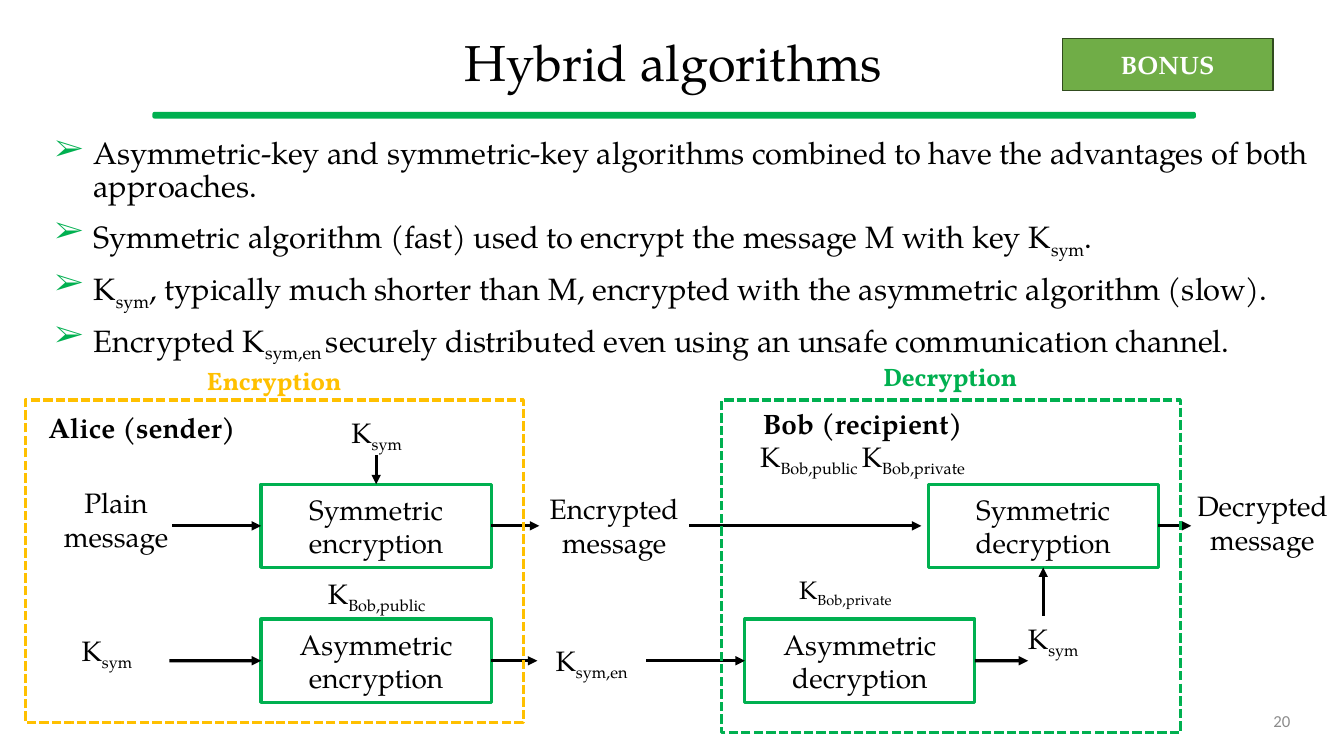
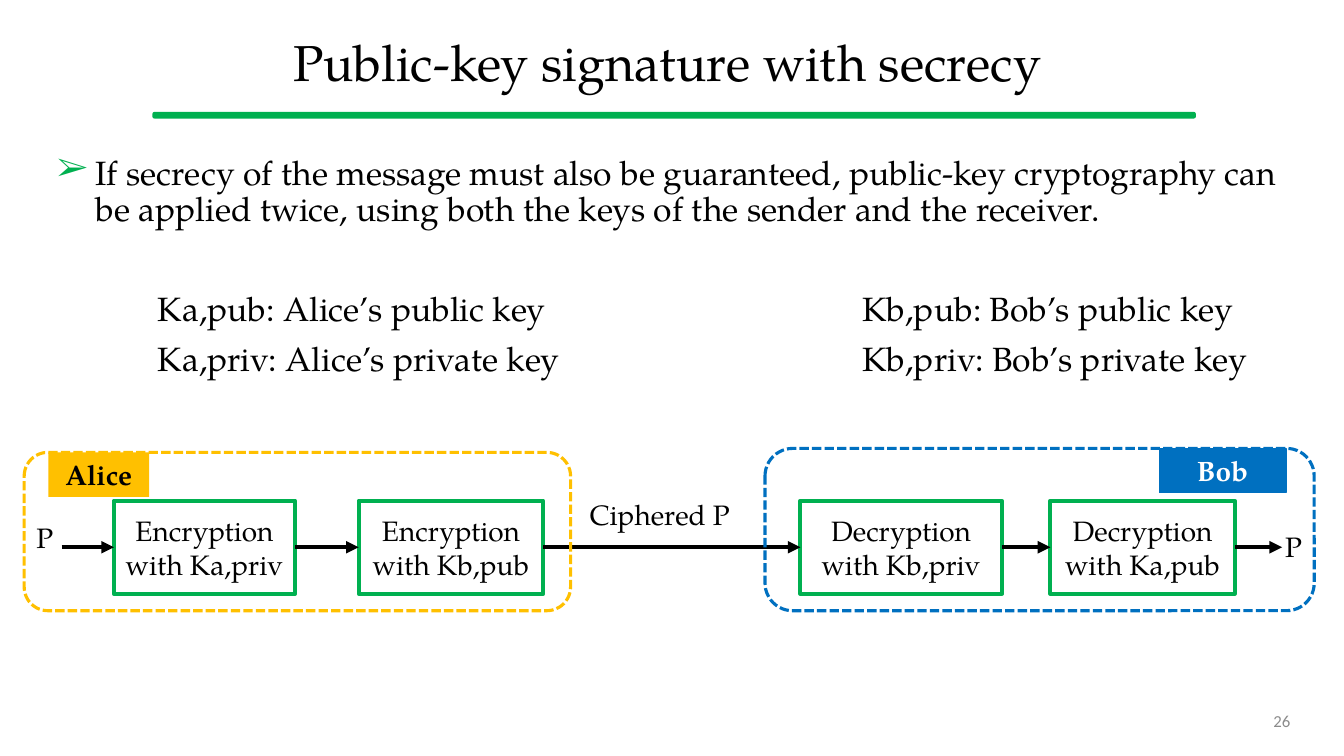
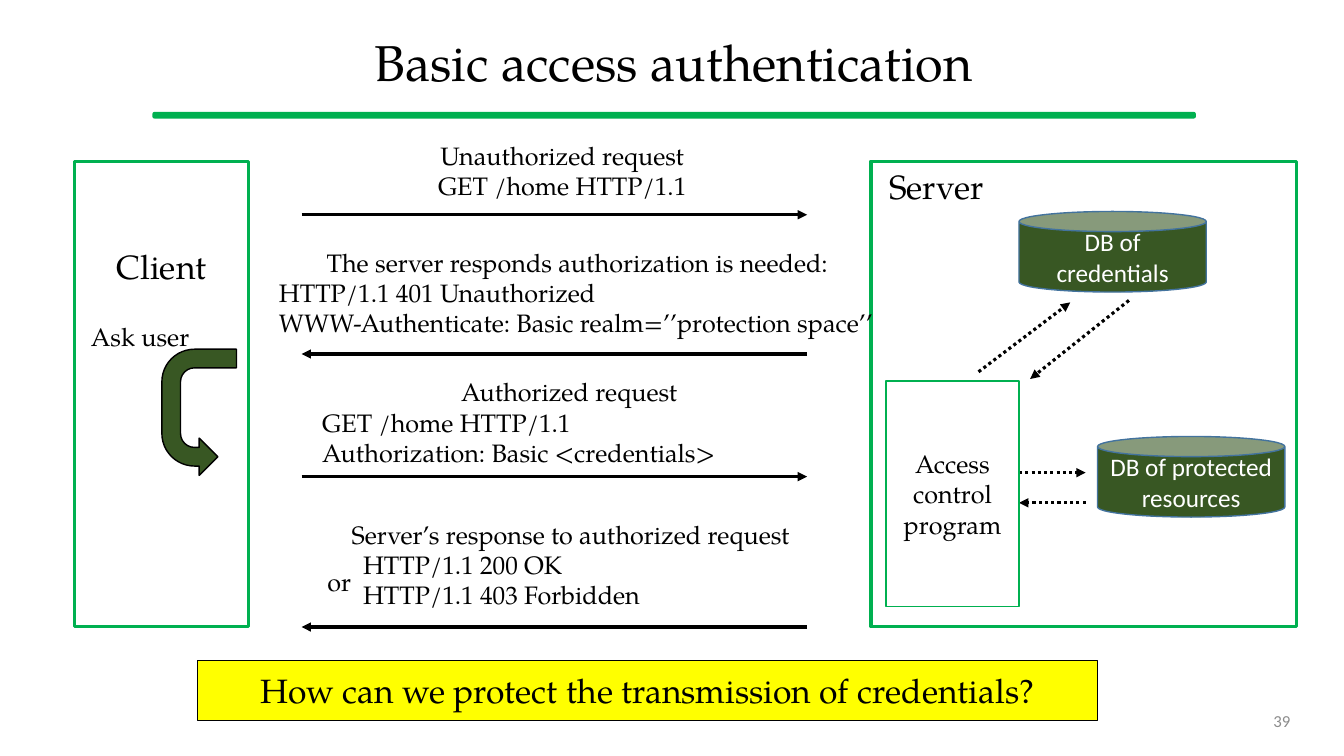
import lxml.etree
import pptx
import pptx.dml.color
import pptx.enum.dml
import pptx.enum.shapes
import pptx.enum.text
import pptx.oxml.ns
import pptx.util

Cm = pptx.util.Cm
Pt = pptx.util.Pt
qn = pptx.oxml.ns.qn
Form = pptx.enum.shapes.MSO_SHAPE
Dash = pptx.enum.dml.MSO_LINE
Align = pptx.enum.text.PP_ALIGN
Anchor = pptx.enum.text.MSO_ANCHOR
TOP, LEFT, BOTTOM, RIGHT = range(4)


class Theme:
    """Colours, fonts and type sizes of the deck."""

    black, white, grey = "000000", "FFFFFF", "8C8C8C"
    green, gold, blue = "00B050", "FFC000", "0070C0"
    forest, steel, yellow = "385723", "43739E", "FFFF00"
    leaf, moss = "70AD47", "314C1F"
    serif, sans, display = "TeX Gyre Pagella", "Calibri", "Vollkorn"
    title, large, lead, body, small, tiny = map(Pt, (36, 24, 22, 20, 18, 12))


STYLE = {
    "name": Theme.serif, "size": Theme.body, "bold": False, "ink": Theme.black,
    "alignment": Align.CENTER, "line_spacing": None, "space_before": None,
    "inset": 0, "hang": 0, "bullet": None,
}
BODY = {"alignment": Align.LEFT, "line_spacing": 0.9, "space_before": Pt(10)}
POINT = {"inset": 0.97, "hang": -0.97, "bullet": "➢"}


def tint(code):
    """Turn a hex code into a colour."""
    return pptx.dml.color.RGBColor.from_string(code)


def adorn(target, values, *names):
    """Set the named values, or all of them, as attributes."""
    for name in names or values:
        setattr(target, name, values[name])


def child(parent, tag, **attrs):
    """Append an XML element."""
    return lxml.etree.SubElement(parent, qn(tag), **attrs)


def layout(par, style):
    """Set the indent and bullet of a paragraph."""
    props = par._p.get_or_add_pPr()
    props.set("marL", str(Cm(style["inset"])))
    props.set("indent", str(Cm(style["hang"])))
    if style["bullet"]:
        child(child(props, "a:buClr"), "a:srgbClr", val=Theme.green)
        child(props, "a:buFont", typeface=Theme.serif)
        child(props, "a:buChar", char=style["bullet"])


def write(frame, items, look):
    """Fill a frame with paragraphs, where tildes enclose subscripts."""
    for rank, item in enumerate(items):
        text, extra = item if isinstance(item, tuple) else (item, {})
        style = STYLE | look | extra
        if rank == 0:
            style["space_before"] = None
        par = frame.add_paragraph() if rank else frame.paragraphs[0]
        layout(par, style)
        adorn(par, style, "alignment", "line_spacing", "space_before")
        for turn, piece in enumerate(text.split("~")):
            if piece:
                run = par.add_run()
                run.text = piece
                adorn(run.font, style, "name", "size", "bold")
                run.font.color.rgb = tint(style["ink"])
                if turn % 2:
                    run.font._element.set("baseline", "-25000")


def label(slide, place, *items, anchor=Anchor.TOP, **look):
    """Add a text box."""
    box = slide.shapes.add_textbox(*map(Cm, place))
    adorn(box.text_frame, {"word_wrap": True, "vertical_anchor": anchor})
    write(box.text_frame, items, look)
    return box


def stroke(line, ink, width, dash=None):
    """Style a line."""
    line.color.rgb = tint(ink)
    adorn(line, {"width": Pt(width), "dash_style": dash})


def block(slide, place, *items, form=Form.RECTANGLE, fill=Theme.white,
          edge=Theme.green, width=2.25, dash=None, bend=None, frame=None, **look):
    """Add a preset shape with optional text."""
    shape = slide.shapes.add_shape(form, *map(Cm, place))
    shape.shadow.inherit = False
    if bend:
        shape.adjustments[0] = bend
    if fill:
        shape.fill.solid()
        shape.fill.fore_color.rgb = tint(fill)
    else:
        shape.fill.background()
    if edge:
        stroke(shape.line, edge, width, dash)
    else:
        shape.line.fill.background()
    values = {"word_wrap": True, "vertical_anchor": Anchor.MIDDLE}
    adorn(shape.text_frame, values | (frame or {}))
    write(shape.text_frame, items, look)
    return shape


def border(slide, place, edge, **rest):
    """Add a dashed outline around one party."""
    return block(slide, place, fill=None, edge=edge, dash=Dash.SQUARE_DOT, **rest)


def arrow(slide, start, end, width=2.25, dash=None):
    """Add an arrow between points or (shape, side) joints."""
    free = [(0, 0) if hasattr(tip[0], "shape_id") else tip for tip in (start, end)]
    kind = pptx.enum.shapes.MSO_CONNECTOR.STRAIGHT
    link = slide.shapes.add_connector(kind, *(Cm(v) for tip in free for v in tip))
    for tip, join in ((start, link.begin_connect), (end, link.end_connect)):
        if hasattr(tip[0], "shape_id"):
            join(*tip)
    stroke(link.line, Theme.black, width, dash)
    props = link.element.spPr
    child(props.find(qn("a:ln")), "a:tailEnd", type="triangle")
    child(props, "a:effectLst")


def start(deck, title, number):
    """Add a slide with its title, rule and number."""
    slide = deck.slides.add_slide(deck.slide_layouts[6])
    block(slide, (3.86, 2.84, 26.26, 0.13), form=Form.ROUNDED_RECTANGLE,
          fill=Theme.green, width=1, bend=0.26)
    label(slide, (1.19, 0.46, 31.57, 2.39), title, anchor=Anchor.MIDDLE,
          size=Theme.title, line_spacing=0.9)
    label(slide, (23.93, 17.65, 8.84, 1.02), str(number), anchor=Anchor.MIDDLE,
          name=Theme.sans, size=Theme.tiny, ink=Theme.grey, alignment=Align.RIGHT)
    return slide


def hybrid(deck):
    """Build the slide on hybrid algorithms."""
    slide = start(deck, "Hybrid algorithms", 20)
    label(
        slide, (1.14, 3.35, 32.46, 6.55),
        "Asymmetric-key and symmetric-key algorithms combined to have the "
        "advantages of both approaches.",
        "Symmetric algorithm (fast) used to encrypt the message M with key K~sym~.",
        "K~sym~, typically much shorter than M, encrypted with the asymmetric "
        "algorithm (slow).",
        "Encrypted K~sym,en ~securely distributed even using an unsafe "
        "communication channel.",
        size=Theme.lead, **BODY, **POINT)

    upper, lower, wide, high = 12.2, 15.6, 5.8, 2.1
    high_mid, low_mid = upper + high / 2, lower + high / 2
    lock, wrap, unwrap, unlock = [
        block(slide, (left, top, wide, high), text)
        for left, top, text in (
            (6.58, upper, "Symmetric encryption"),
            (6.58, lower, "Asymmetric encryption"),
            (18.77, lower, "Asymmetric decryption"),
            (23.39, upper, "Symmetric decryption"))]

    for place, text in (
            ((0.64, 12.12, 4.57, 1.96), "Plain message"),
            ((0.41, 15.85, 4.57, 1.12), "K~sym~"),
            ((7.21, 10.34, 4.57, 1.12), "K~sym~"),
            ((7.21, 14.4, 4.57, 1.12), "K~Bob,public~"),
            ((29.62, 12.19, 4.39, 1.96), "Decrypted message"),
            ((25.02, 15.54, 3.05, 1.12), "K~sym~")):
        label(slide, place, text)
    cipher = label(slide, (13.59, high_mid - 0.98, 3.78, 1.96), "Encrypted message")
    key = label(slide, (13.54, low_mid - 0.56, 2.74, 1.12), "K~sym,en~")
    label(slide, (0.81, 10.21, 5.54, 1.12), "Alice (sender)", bold=True)
    label(slide, (17.98, 10.11, 7.52, 1.96), ("Bob (recipient)", {"bold": True}),
          "K~Bob,public ~K~Bob,private~")
    label(slide, (19.89, 14.35, 3.6, 1.02), "K~Bob,private~",
          size=Theme.small, alignment=Align.LEFT)

    for tail, head in (
            ((4.34, high_mid), (lock, LEFT)),
            ((4.27, low_mid), (wrap, LEFT)),
            ((9.48, 11.46), (lock, TOP)),
            ((lock, RIGHT), (cipher, LEFT)),
            ((wrap, RIGHT), (key, LEFT)),
            ((cipher, RIGHT), (23.22, high_mid)),
            ((key, RIGHT), (unwrap, LEFT)),
            ((unwrap, RIGHT), (25.91, low_mid)),
            ((26.29, 15.52), (unlock, BOTTOM)),
            ((unlock, RIGHT), (30.02, high_mid))):
        arrow(slide, tail, head)

    for place, spot, text, ink in (
            ((0.64, 10.08, 12.55, 8.13), (4.8, 9.07), "Encryption", Theme.gold),
            ((18.19, 10.08, 11.56, 8.38), (21.84, 8.99), "Decryption", Theme.green)):
        border(slide, place, ink)
        label(slide, (*spot, 4.22, 1.02), text, name=Theme.display,
              size=Theme.small, bold=True, ink=ink)
    block(slide, (26.77, 0.97, 5.31, 1.32), "BONUS", fill=Theme.leaf,
          edge=Theme.moss, width=1, size=Theme.small, bold=True, ink=Theme.white)


def secret(deck):
    """Build the slide on signature with secrecy."""
    slide = start(deck, "Public-key signature with secrecy ", 26)
    label(
        slide, (1.19, 3.81, 31.57, 2.4),
        "If secrecy of the message must also be guaranteed, public-key "
        "cryptography can be applied twice, using both the keys of the sender "
        "and the receiver.",
        size=Theme.large, **BODY, **POINT)
    for left, mark, owner in ((3.73, "Ka", "Alice"), (21.49, "Kb", "Bob")):
        label(slide, (left, 7.24, 11.5, 2.7),
              f"{mark},pub: {owner}’s public key",
              f"{mark},priv: {owner}’s private key",
              size=Theme.large, **BODY)

    top, high = 12.62, 2.34
    middle = top + high / 2
    steps = [
        block(slide, (left, top, wide, high), text, width=3)
        for left, wide, text in (
            (2.87, 4.57, "Encryption with Ka,priv"),
            (9.04, 4.65, "Encryption with Kb,pub"),
            (20.17, 5.08, "Decryption with Kb,priv"),
            (26.47, 4.65, "Decryption with Ka,pub"))]
    tails = [(1.55, middle)] + [(step, RIGHT) for step in steps]
    heads = [(step, LEFT) for step in steps] + [(32.31, middle)]
    for tail, head in zip(tails, heads):
        arrow(slide, tail, head, width=3)

    block(slide, (1.22, 11.4, 2.54, 1.12), "Alice", fill=Theme.gold, edge=None,
          bold=True)
    block(slide, (29.21, 11.3, 3.2, 1.12), "Bob", fill=Theme.blue,
          edge=Theme.blue, width=0.75, bold=True, ink=Theme.white)
    for place, ink, bend in (
            ((0.61, 11.4, 13.77, 3.99), Theme.gold, 0.15),
            ((19.28, 11.3, 13.84, 4.09), Theme.blue, 0.17)):
        border(slide, place, ink, form=Form.ROUNDED_RECTANGLE, bend=bend)
    for place, text in (
            ((0.18, 13, 1.9, 1.12), "P"),
            ((31.7, 13.23, 1.8, 1.12), "P"),
            ((14.33, 12.42, 4.6, 1.12), "Ciphered P")):
        label(slide, place, text)


def access(deck):
    """Build the slide on basic access authentication."""
    slide = start(deck, "Basic access authentication", 39)
    flush = {"alignment": Align.LEFT}
    block(slide, (1.88, 4.06, 4.39, 11.73), "Client", size=Theme.large,
          frame={"vertical_anchor": Anchor.TOP, "margin_top": Cm(2.14)})
    block(slide, (21.95, 4.06, 10.72, 11.73), "Server", size=Theme.large,
          frame={"vertical_anchor": Anchor.TOP}, inset=0.21, **flush)

    near, far = 7.6, 20.34
    for rank, level in enumerate((5.41, 8.92, 12.01, 15.8)):
        tail, head = (far, near) if rank % 2 else (near, far)
        arrow(slide, (tail, level), (head, level))

    nested = flush | {"inset": 0.64}
    for place, *items in (
            ((9.98, 3.4, 8.38, 1.8), "Unauthorized request", "GET /home HTTP/1.1"),
            ((6.78, 6.1, 15.54, 2.57),
             "The server responds authorization is needed:",
             ("HTTP/1.1 401 Unauthorized", flush),
             ("WWW-Authenticate: Basic realm=’’protection space’’", flush)),
            ((7.87, 9.37, 12.95, 2.57), "Authorized request",
             ("GET /home HTTP/1.1", flush),
             ("Authorization: Basic <credentials>", flush)),
            ((8.26, 12.95, 12.24, 2.57), "Server’s response to authorized request",
             ("HTTP/1.1 200 OK", nested),
             ("HTTP/1.1 403 Forbidden", nested)),
            ((7.75, 14.15, 1.6, 1.02), "or"),
            ((1.53, 7.98, 4, 1.02), "Ask user")):
        label(slide, place, *items, size=Theme.small)

    for spot, text in (
            ((25.68, 5.33), "DB of credentials"),
            ((27.66, 11), "DB of protected resources")):
        block(slide, (*spot, 4.72, 2.03), text, form=Form.CAN, fill=Theme.forest,
              edge=Theme.steel, width=1, name=Theme.sans, size=Theme.small,
              ink=Theme.white)
    for tail, head in (
            ((24.66, 9.37), (26.97, 7.62)),
            ((28.45, 7.57), (25.96, 9.55)),
            ((25.68, 11.91), (27.36, 11.91)),
            ((27.36, 12.67), (25.68, 12.67))):
        arrow(slide, tail, head, dash=Dash.ROUND_DOT)

    turn = block(slide, (3.43, 9.45, 3.18, 1.88), form=Form.U_TURN_ARROW,
                 fill=Theme.forest, edge=Theme.black, width=1)
    turn.rotation = 90
    turn.element.spPr.find(qn("a:xfrm")).set("flipV", "1")
    block(slide, (22.33, 9.6, 3.35, 5.69), "Access control program", width=1,
          size=Theme.small)
    block(slide, (4.98, 16.64, 22.68, 1.52),
          "How can we protect the transmission of credentials?",
          fill=Theme.yellow, edge=Theme.black, width=1, size=Theme.large)


def main():
    """Build and save the deck."""
    deck = pptx.Presentation()
    adorn(deck, {"slide_width": Cm(33.87), "slide_height": Cm(19.05)})
    for build in (hybrid, secret, access):
        build(deck)
    deck.save("out.pptx")


if __name__ == "__main__":
    main()
